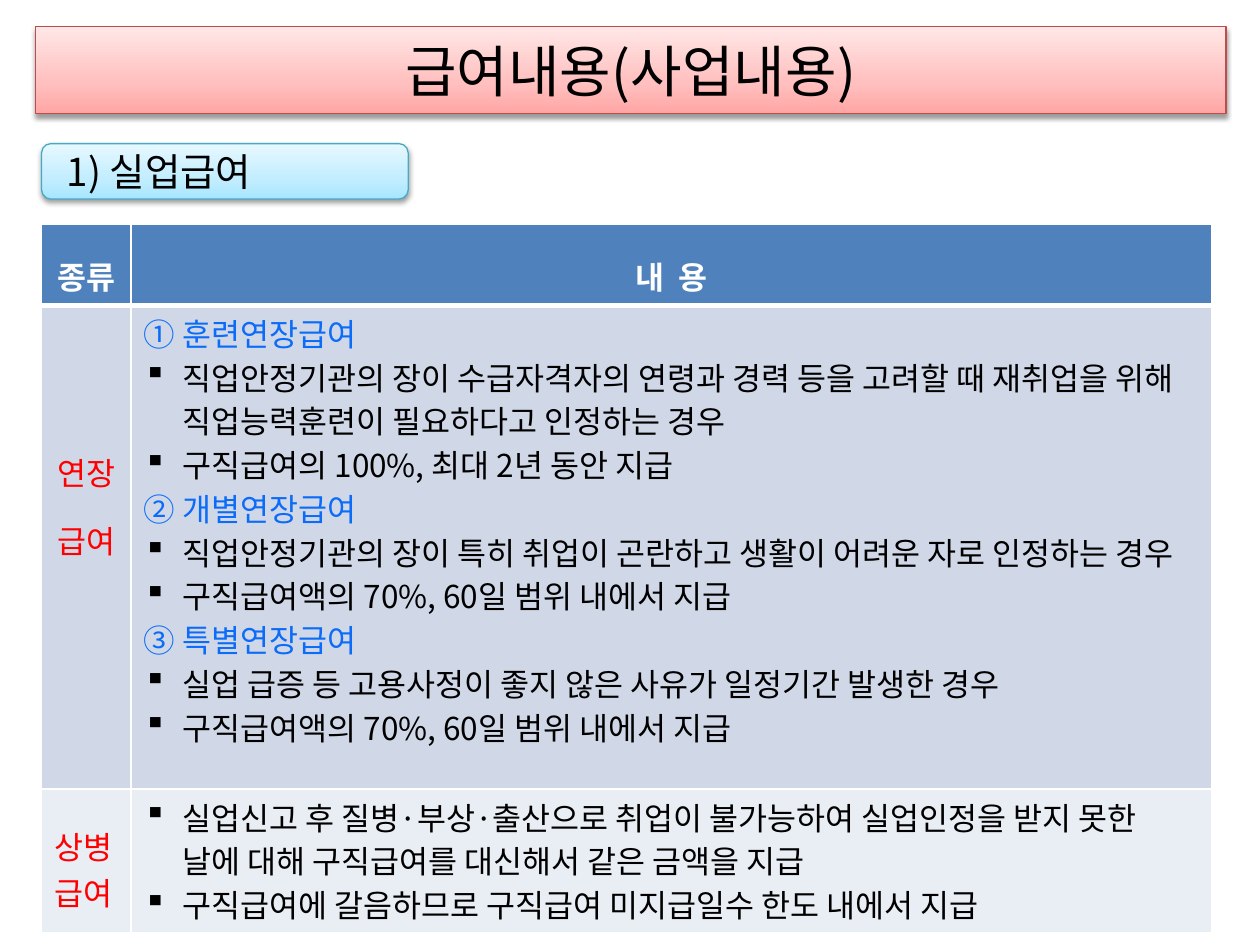
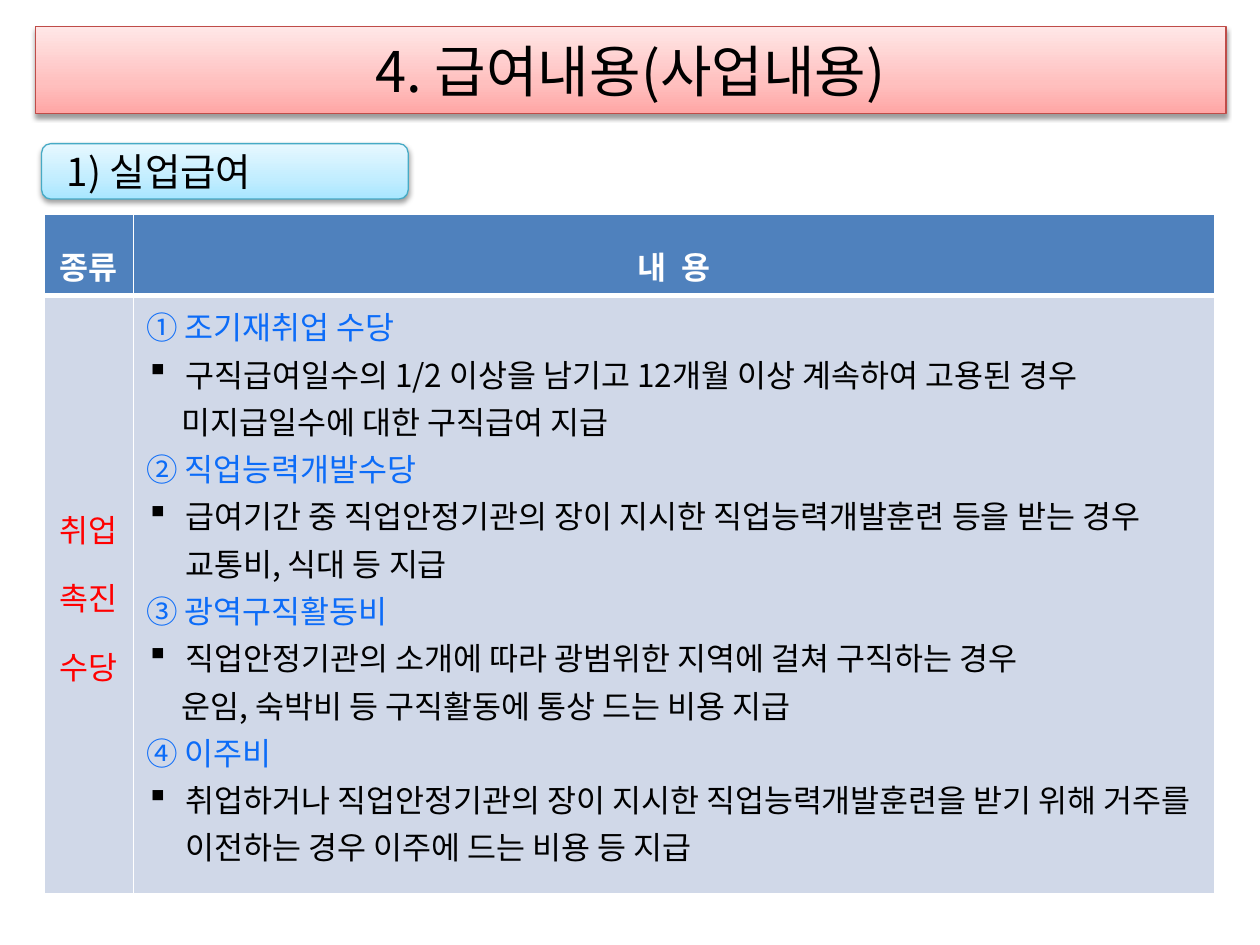
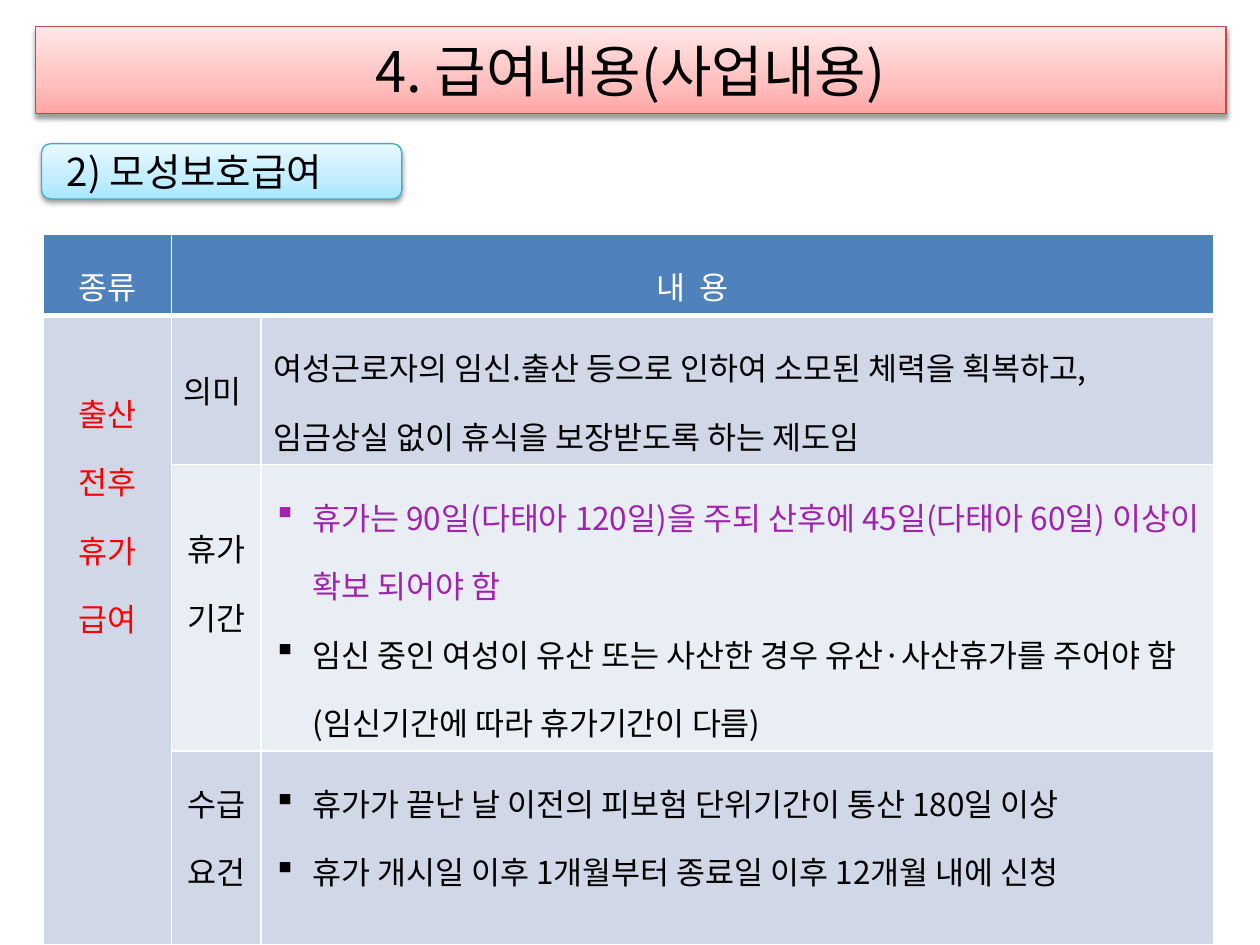
import dataclasses

import lxml.etree
import pptx
import pptx.dml.color
import pptx.enum.shapes
import pptx.enum.text
import pptx.oxml.ns
import pptx.util

qn = pptx.oxml.ns.qn
SHAPE = pptx.enum.shapes.MSO_SHAPE
ALIGN = pptx.enum.text.PP_ALIGN
ANCHOR = pptx.enum.text.MSO_ANCHOR

FONT = "Noto Sans CJK KR"
BLACK, WHITE, RED, BLUE, PURPLE = "000000", "FFFFFF", "FF0000", "0C6CF8", "A023AD"
HEADER, BAND_DARK, BAND_LIGHT = "4F81BD", "D0D8E8", "E9EDF4"
PINK_STOPS = [(0, "FFA6A5"), (35, "FFC0BF"), (100, "FFE7E7")]
SKY_STOPS = [(0, "A7E6FF"), (35, "C1EDFF"), (100, "E7F8FF")]
PINK_LINE, SKY_LINE = "BF4C48", "46AAC5"
HEADER_HEIGHT = 8.53
HANGING = 0.31


@dataclasses.dataclass
class Para:
    text: str
    color: str = BLACK
    size: int = 18
    bold: bool = False
    align: ALIGN = ALIGN.LEFT
    spacing: float | pptx.util.Pt = 1.5
    indent: float = 0
    bullet: bool = False


@dataclasses.dataclass
class Cell:
    paras: list
    fill: str
    top: float = 0.05
    rows: int = 1
    cols: int = 1


def rgb(value):
    return pptx.dml.color.RGBColor.from_string(value)


def across(percent):
    return pptx.util.Inches(10 * percent / 100)


def down(percent):
    return pptx.util.Inches(7.5 * percent / 100)


def sub(parent, tag, **attrs):
    return lxml.etree.SubElement(parent, qn(tag), {k: str(v) for k, v in attrs.items()})


def write(tf, paras):
    for i, para in enumerate(paras):
        p = tf.paragraphs[0] if i == 0 else tf.add_paragraph()
        p.add_run().text = para.text
        p.alignment = para.align
        p.line_spacing = para.spacing
        pPr = p._p.get_or_add_pPr()
        if para.indent:
            pPr.set("marL", str(pptx.util.Inches(para.indent)))
        if para.bullet:
            pPr.set("indent", str(-pptx.util.Inches(para.indent)))
            sub(pPr, "a:buChar", char="▪")
        p.font.size = pptx.util.Pt(para.size)
        p.font.bold = para.bold
        p.font.color.rgb = rgb(para.color)
        p.font.name = FONT
        sub(pPr.find(qn("a:defRPr")), "a:ea", typeface=FONT)


def glossy_box(s, kind, left, top, width, height, stops, line, para, inset=0.1):
    """Shape with an upward gradient, a thin outline and a soft shadow."""
    sp = s.shapes.add_shape(kind, across(left), down(top), across(width), down(height))
    sp.fill.gradient()
    sp.fill.gradient_angle = 90
    spPr = sp._element.spPr
    gs_list = spPr.find(".//" + qn("a:gsLst"))
    gs_list.clear()
    for pos, color in stops:
        sub(sub(gs_list, "a:gs", pos=pos * 1000), "a:srgbClr", val=color)
    sp.line.color.rgb = rgb(line)
    sp.line.width = pptx.util.Pt(0.75)
    sp.shadow.inherit = False
    shadow = sub(spPr.find(qn("a:effectLst")), "a:outerShdw", blurRad=pptx.util.Pt(3.1),
                 dist=pptx.util.Pt(1.6), dir=5400000, rotWithShape=0)
    sub(sub(shadow, "a:srgbClr", val=BLACK), "a:alpha", val=38000)
    tf = sp.text_frame
    tf.word_wrap = True
    tf.vertical_anchor = ANCHOR.MIDDLE
    tf.margin_left = pptx.util.Inches(inset)
    write(tf, [para])


def add_frame(prs, title, section, section_width=29.1):
    s = prs.slides.add_slide(prs.slide_layouts[6])
    glossy_box(s, SHAPE.RECTANGLE, 2.8, 2.8, 94.5, 9.2, PINK_STOPS, PINK_LINE,
               Para(title, size=32, align=ALIGN.CENTER, spacing=1.0))
    glossy_box(s, SHAPE.ROUNDED_RECTANGLE, 3.3, 15.2, section_width, 5.87, SKY_STOPS,
               SKY_LINE, Para(section, size=22, spacing=1.0), inset=0.18)
    return s


def set_borders(cell, top, bottom):
    tcPr = cell._tc.get_or_add_tcPr()
    sides = [("a:lnL", 1), ("a:lnR", 1), ("a:lnT", top), ("a:lnB", bottom)]
    for i, (tag, width) in enumerate(sides):
        ln = lxml.etree.Element(qn(tag), w=str(pptx.util.Pt(width)))
        sub(sub(ln, "a:solidFill"), "a:srgbClr", val=WHITE)
        tcPr.insert(i, ln)


def add_benefit_table(s, left, top, widths, heights, rows):
    """Rows hold Cell objects; None marks a place covered by a merged cell."""
    heights = [HEADER_HEIGHT] + heights
    table = s.shapes.add_table(len(heights), len(widths), across(left), down(top),
                               across(sum(widths)), down(sum(heights))).table
    table.first_row = table.horz_banding = False
    for column, width in zip(table.columns, widths):
        column.width = across(width)
    for row, height in zip(table.rows, heights):
        row.height = down(height)
    for r, row in enumerate(rows):
        for c, content in enumerate(row):
            cell = table.cell(r, c)
            if content:
                cell.fill.solid()
                cell.fill.fore_color.rgb = rgb(content.fill)
                cell.margin_top = pptx.util.Inches(content.top)
                write(cell.text_frame, content.paras)
                if content.rows * content.cols > 1:
                    cell.merge(table.cell(r + content.rows - 1, c + content.cols - 1))
            set_borders(cell, top=3 if r == 1 else 1, bottom=3 if r == 0 else 1)


def header_row(bold=True, content_cols=1):
    def header(text, cols=1):
        return Cell([Para(text, WHITE, bold=bold, align=ALIGN.CENTER)], HEADER, cols=cols)
    return [header("종류"), header("내  용", content_cols)] + [None] * (content_cols - 1)


def label(lines, fill, top=0.05, color=RED, rows=1):
    return Cell([Para(t, color, align=ALIGN.CENTER) for t in lines], fill, top, rows)


def plain_label(text, fill, top, color):
    return Cell([Para(text, color, spacing=1.0)], fill, top)


def heading(text, spacing):
    return Para(text, BLUE, spacing=spacing)


def bullet(text, spacing=1.5, color=BLACK):
    return Para(text, color, spacing=spacing, indent=HANGING, bullet=True)


def continuation(text, spacing):
    return Para(text, spacing=spacing, indent=0.28)


def extended_benefits(prs):
    s = add_frame(prs, "급여내용(사업내용)", "1) 실업급여")
    pt = pptx.util.Pt(25)
    extended = [
        heading("① 훈련연장급여", pt),
        bullet("직업안정기관의 장이 수급자격자의 연령과 경력 등을 고려할 때 재취업을 위해 "
               "직업능력훈련이 필요하다고 인정하는 경우", pt),
        bullet("구직급여의 100%, 최대 2년 동안 지급", pt),
        heading("② 개별연장급여", pt),
        bullet("직업안정기관의 장이 특히 취업이 곤란하고 생활이 어려운 자로 인정하는 경우", pt),
        bullet("구직급여액의 70%, 60일 범위 내에서 지급", pt),
        heading("③ 특별연장급여", pt),
        bullet("실업 급증 등 고용사정이 좋지 않은 사유가 일정기간 발생한 경우", pt),
        bullet("구직급여액의 70%, 60일 범위 내에서 지급", pt),
    ]
    sickness = [
        bullet("실업신고 후 질병·부상·출산으로 취업이 불가능하여 실업인정을 받지 못한 "
               "날에 대해 구직급여를 대신해서 같은 금액을 지급", pt),
        bullet("구직급여에 갈음하므로 구직급여 미지급일수 한도 내에서 지급", pt),
    ]
    add_benefit_table(s, 3.3, 23.73, [7.1, 85.8], [51.2, 15.2], [
        header_row(),
        [label(["연장", "급여"], BAND_DARK, 0.96), Cell(extended, BAND_DARK)],
        [plain_label("상병급여", BAND_LIGHT, 0.27, RED), Cell(sickness, BAND_LIGHT)],
    ])


def employment_allowances(prs):
    s = add_frame(prs, "4. 급여내용(사업내용)", "1) 실업급여")
    pt = pptx.util.Pt(27)
    allowances = [
        heading("① 조기재취업 수당", pt),
        bullet("구직급여일수의 1/2 이상을 남기고 12개월 이상 계속하여 고용된 경우", pt),
        continuation("미지급일수에 대한 구직급여 지급", pt),
        heading("② 직업능력개발수당", pt),
        bullet("급여기간 중 직업안정기관의 장이 지시한 직업능력개발훈련 등을 받는 경우 "
               "교통비, 식대 등 지급", pt),
        heading("③ 광역구직활동비", pt),
        bullet("직업안정기관의 소개에 따라 광범위한 지역에 걸쳐 구직하는 경우", pt),
        continuation("운임, 숙박비 등 구직활동에 통상 드는 비용 지급", pt),
        heading("④ 이주비", pt),
        bullet("취업하거나 직업안정기관의 장이 지시한 직업능력개발훈련을 받기 위해 "
               "거주를 이전하는 경우 이주에 드는 비용 등 지급", pt),
    ]
    add_benefit_table(s, 3.5, 22.67, [7.1, 85.8], [63.33], [
        header_row(),
        [label(["취업촉진 수당"], BAND_DARK, 1.49), Cell(allowances, BAND_DARK)],
    ])


def maternity_benefits(prs):
    s = add_frame(prs, "4. 급여내용(사업내용)", "2) 모성보호급여", section_width=28.6)
    meaning = [Para("여성근로자의 임신.출산 등으로 인하여 소모된 체력을 획복하고, "
                    "임금상실 없이 휴식을 보장받도록 하는 제도임")]
    period = [
        bullet("휴가는 90일(다태아 120일)을 주되 산후에 45일(다태아 60일) 이상이 "
               "확보 되어야 함", color=PURPLE),
        bullet("임신 중인 여성이 유산 또는 사산한 경우 유산·사산휴가를 주어야 "
               "함(임신기간에 따라 휴가기간이 다름)"),
    ]
    conditions = [
        bullet("휴가가 끝난 날 이전의 피보험 단위기간이 통산 180일 이상"),
        bullet("휴가 개시일 이후 1개월부터 종료일 이후 12개월 내에 신청"),
    ]
    add_benefit_table(s, 3.4, 24.8, [10.2, 7.1, 75.6], [15.73, 30.27, 20.53], [
        header_row(bold=False, content_cols=2),
        [label(["출산", "전후", "휴가", "급여"], BAND_DARK, 0.41, rows=3),
         plain_label("의미", BAND_DARK, 0.41, BLACK), Cell(meaning, BAND_DARK)],
        [None, label(["휴가기간"], BAND_LIGHT, 0.3, BLACK), Cell(period, BAND_LIGHT)],
        [None, label(["수급요건"], BAND_DARK, color=BLACK), Cell(conditions, BAND_DARK)],
    ])


def main():
    prs = pptx.Presentation()
    prs.slide_width = across(100)
    prs.slide_height = down(100)
    extended_benefits(prs)
    employment_allowances(prs)
    maternity_benefits(prs)
    prs.save("out.pptx")


if __name__ == "__main__":
    main()
